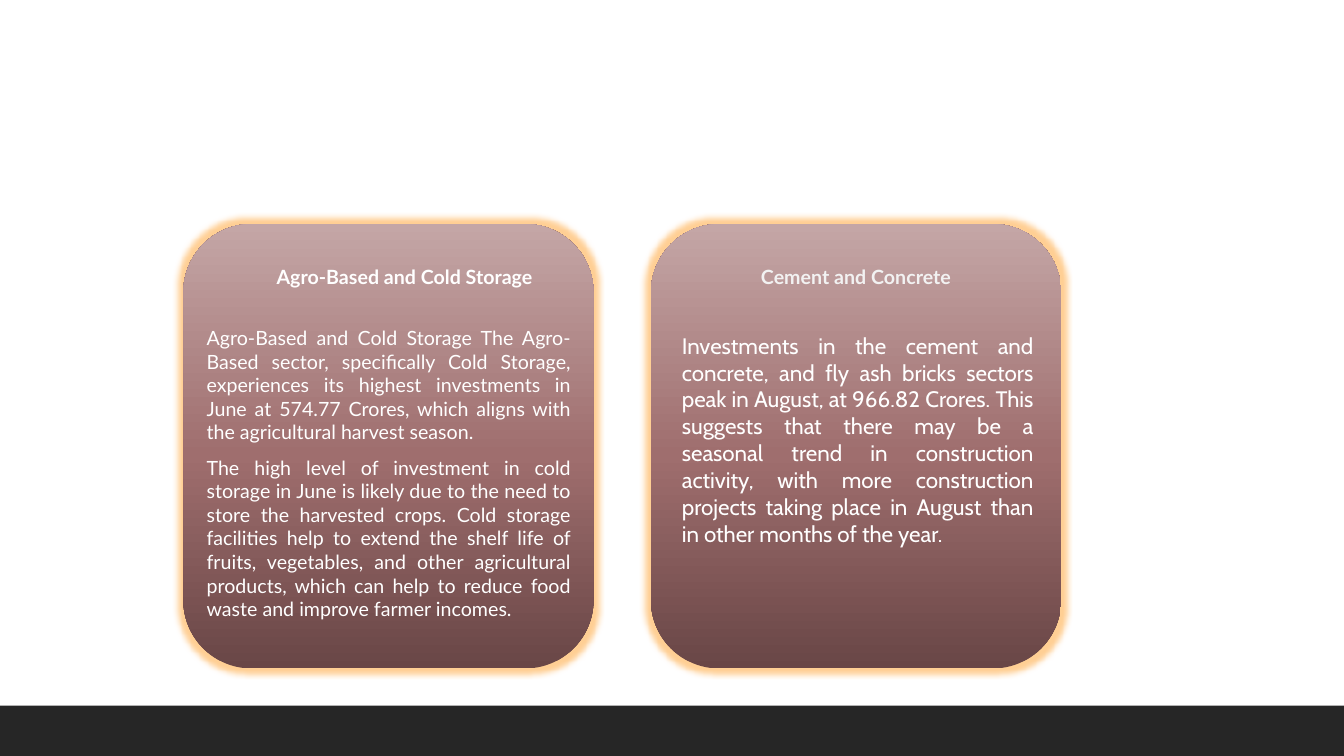
from pptx import Presentation
from pptx import util as u
from pptx.dml.color import RGBColor
from pptx.enum import shapes, text
from pptx.oxml import parse_xml
from pptx.oxml.ns import nsdecls

HUES = {"white": "FFFFFF", "pale": "F2F2F2", "bar": "262626", "glow": "FFCF94",
        "dark": "694646", "mid": "9F6E6E", "light": "C4A6A6"}

AGRO = ("Agro-Based and Cold Storage The Agro-Based sector, specifically Cold Storage, "
        "experiences its highest investments in June at 574.77 Crores, which aligns with "
        "the agricultural harvest season.")
COLD = ("The high level of investment in cold storage in June is likely due to the need to "
        "store the harvested crops. Cold storage facilities help to extend the shelf life of "
        "fruits, vegetables, and other agricultural products, which can help to reduce food "
        "waste and improve farmer incomes.")
CEMENT = ("Investments in the cement and concrete, and fly ash bricks sectors peak in August, "
          "at 966.82 Crores. This suggests that there may be a seasonal trend in construction "
          "activity, with more construction projects taking place in August than in other "
          "months of the year.")


class Page:
    def __init__(self, slide):
        self.slide = slide

    def shape(self, kind, *box):
        item = self.slide.shapes.add_shape(kind, *map(u.Pt, box))
        item.shadow.inherit = False
        item.line.fill.background()
        return item

    def bar(self, *box):
        fill = self.shape(shapes.MSO_SHAPE.RECTANGLE, *box).fill
        fill.solid()
        fill.fore_color.rgb = RGBColor.from_string(HUES["bar"])

    def card(self, *box):
        """Rounded panel, dark at the foot, with a soft glow round it."""
        item = self.shape(shapes.MSO_SHAPE.ROUNDED_RECTANGLE, *box)
        item.fill.background()
        props = item.fill._xPr
        stops = "".join(
            f'<a:gs pos="{pos * 1000}"><a:srgbClr val="{HUES[hue]}"/></a:gs>'
            for pos, hue in ((0, "dark"), (48, "mid"), (100, "light")))
        blank = props.find("{*}noFill")
        props.replace(blank, parse_xml(
            f'<a:gradFill {nsdecls("a")} rotWithShape="1"><a:gsLst>{stops}</a:gsLst>'
            '<a:lin ang="16200000" scaled="0"/></a:gradFill>'))
        props.find("{*}effectLst").append(parse_xml(
            f'<a:glow {nsdecls("a")} rad="{u.Pt(8)}"><a:srgbClr val="{HUES["glow"]}"/></a:glow>'))

    def words(self, copy, *box, size=14, font="Lato", hue="white", bold=False, align=None):
        frame = self.slide.shapes.add_textbox(*map(u.Pt, box)).text_frame
        frame.word_wrap = True
        frame.auto_size = text.MSO_AUTO_SIZE.SHAPE_TO_FIT_TEXT
        para = frame.paragraphs[0]
        para.text = copy
        para.alignment = align
        face = para.runs[0].font
        face.size, face.name, face.bold = u.Pt(size), font, bold
        face.color.rgb = RGBColor.from_string(HUES[hue])

    def head(self, copy, *box, hue="white"):
        self.words(copy, *box, hue=hue, bold=True)

    def body(self, copy, *box, **style):
        self.words(copy, *box, align=text.PP_ALIGN.JUSTIFY, **style)


def main():
    deck = Presentation()
    deck.slide_width, deck.slide_height = u.Pt(960), u.Pt(540)
    page = Page(deck.slides.add_slide(deck.slide_layouts[6]))
    page.bar(0, 504, 960, 36)
    for left in (131, 465):
        page.card(left, 160, 293, 317.5)

    page.head("Agro-Based and Cold Storage", 190.5, 186, 213, 24.5)
    page.body(AGRO, 140.5, 229.5, 274.5, 92)
    page.body(COLD, 140.5, 322, 274.5, 126)

    page.head("Cement and Concrete", 536.5, 186, 213, 24.5, hue="pale")
    page.body(CEMENT, 480, 233.5, 265.5, 162.5, size=16, font="Cabin")
    deck.save("out.pptx")


if __name__ == "__main__":
    main()
